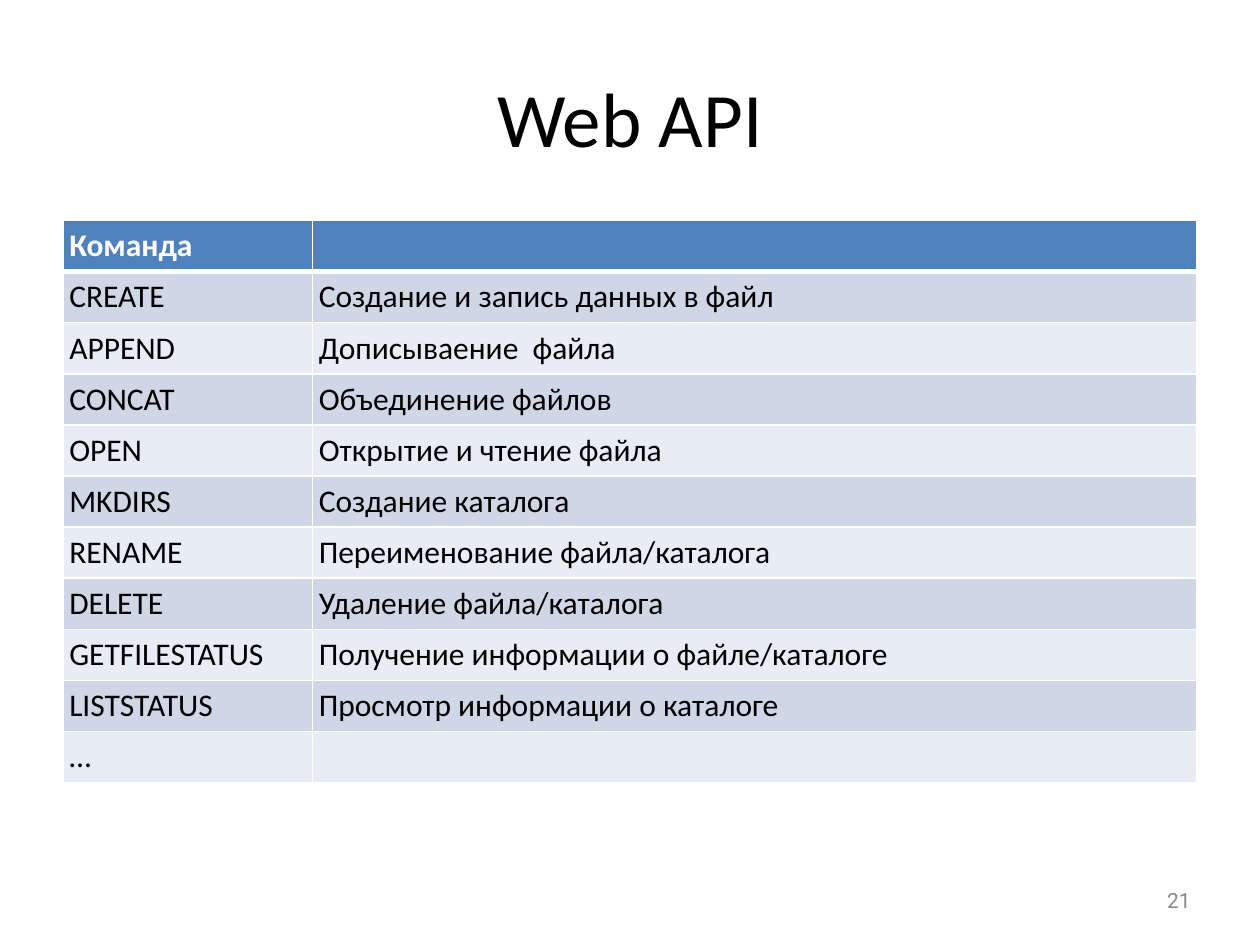
import pptx
import pptx.dml.color
import pptx.enum.text
import pptx.oxml
import pptx.oxml.ns
import pptx.util

RGBColor = pptx.dml.color.RGBColor
Align = pptx.enum.text.PP_ALIGN
Anchor = pptx.enum.text.MSO_ANCHOR

WHITE = RGBColor(0xFF, 0xFF, 0xFF)
BLACK = RGBColor(0x00, 0x00, 0x00)
GREY = RGBColor(0x88, 0x88, 0x88)
HEADER_BLUE = RGBColor(0x4F, 0x81, 0xBD)
BANDS = (RGBColor(0xE8, 0xEC, 0xF4), RGBColor(0xCF, 0xD7, 0xE7))

PAGE_WIDTH = pptx.util.Inches(10)
PAGE_HEIGHT = pptx.util.Inches(7.5)
INSET = pptx.util.Inches(0.05)
COMMAND_SHARE = 0.22

COMMANDS = (
    ("Команда", ""),
    ("CREATE", "Создание и запись данных в файл"),
    ("APPEND", "Дописываение  файла"),
    ("CONCAT", "Объединение файлов"),
    ("OPEN", "Открытие и чтение файла"),
    ("MKDIRS", "Создание каталога"),
    ("RENAME", "Переименование файла/каталога"),
    ("DELETE", "Удаление файла/каталога"),
    ("GETFILESTATUS", "Получение информации о файле/каталоге"),
    ("LISTSTATUS", "Просмотр информации о каталоге"),
    ("…", ""),
)


def share_box(left, top, width, height):
    """Turn shares of the page into lengths."""
    return (round(left * PAGE_WIDTH), round(top * PAGE_HEIGHT),
            round(width * PAGE_WIDTH), round(height * PAGE_HEIGHT))


def set_insets(holder):
    """Give a text frame or a cell the common margins."""
    holder.margin_left = holder.margin_right = INSET
    holder.margin_top = holder.margin_bottom = INSET


def write_text(frame, text, size=18, font="Calibri", color=BLACK, bold=False, align=Align.LEFT):
    """Write one formatted paragraph into a text frame."""
    para = frame.paragraphs[0]
    para.alignment = align
    para.font.size = pptx.util.Pt(size)
    if text:
        span = para.add_run()
        span.text = text
        span.font.size = pptx.util.Pt(size)
        span.font.name = font
        span.font.bold = bold
        span.font.color.rgb = color


def set_borders(cell, bottom=1):
    """Draw white borders around a cell, with widths in points."""
    properties = cell._tc.get_or_add_tcPr()
    for side, points in (("L", 1), ("R", 1), ("T", 1), ("B", bottom)):
        properties.append(pptx.oxml.parse_xml(
            f'<a:ln{side} {pptx.oxml.ns.nsdecls("a")} w="{pptx.util.Pt(points)}">'
            f'<a:solidFill><a:srgbClr val="{WHITE}"/></a:solidFill></a:ln{side}>'))


def place_title(page, box, text):
    """Fill the title placeholder and centre it in the box."""
    title = page.shapes.title
    title.left, title.top, title.width, title.height = box
    frame = title.text_frame
    frame.vertical_anchor = Anchor.MIDDLE
    set_insets(frame)
    write_text(frame, text, size=44, align=Align.CENTER)


def place_commands(page, box, rows):
    """Build the banded table of commands in the box."""
    width, height = box[2:]
    table = page.shapes.add_table(len(rows), 2, *box).table
    table.columns[0].width = round(width * COMMAND_SHARE)
    table.columns[1].width = width - table.columns[0].width
    for index, texts in enumerate(rows):
        header = index == 0
        table.rows[index].height = height // len(rows)
        for column, text in enumerate(texts):
            cell = table.cell(index, column)
            set_insets(cell)
            set_borders(cell, bottom=3 if header else 1)
            cell.fill.solid()
            cell.fill.fore_color.rgb = HEADER_BLUE if header else BANDS[index % 2]
            write_text(cell.text_frame, text, color=WHITE if header else BLACK, bold=header)


def place_page_number(page, box, text):
    """Write the page number against the right side of the box."""
    frame = page.shapes.add_textbox(*box).text_frame
    frame.word_wrap = False
    frame.auto_size = pptx.enum.text.MSO_AUTO_SIZE.SHAPE_TO_FIT_TEXT
    frame.vertical_anchor = Anchor.MIDDLE
    set_insets(frame)
    write_text(frame, text, size=12, font="Roboto", color=GREY, align=Align.RIGHT)


def main():
    """Build the deck and save it."""
    deck = pptx.Presentation()
    deck.slide_width, deck.slide_height = PAGE_WIDTH, PAGE_HEIGHT
    page = deck.slides.add_slide(deck.slide_layouts[5])
    place_title(page, share_box(0.05, 0.04, 0.9, 1 / 6), "Web API")
    place_commands(page, share_box(0.05, 7 / 30, 0.9, 0.595), COMMANDS)
    place_page_number(page, share_box(0.921, 14 / 15, 0.029, 0.039), "21")
    deck.save("out.pptx")


if __name__ == "__main__":
    main()
